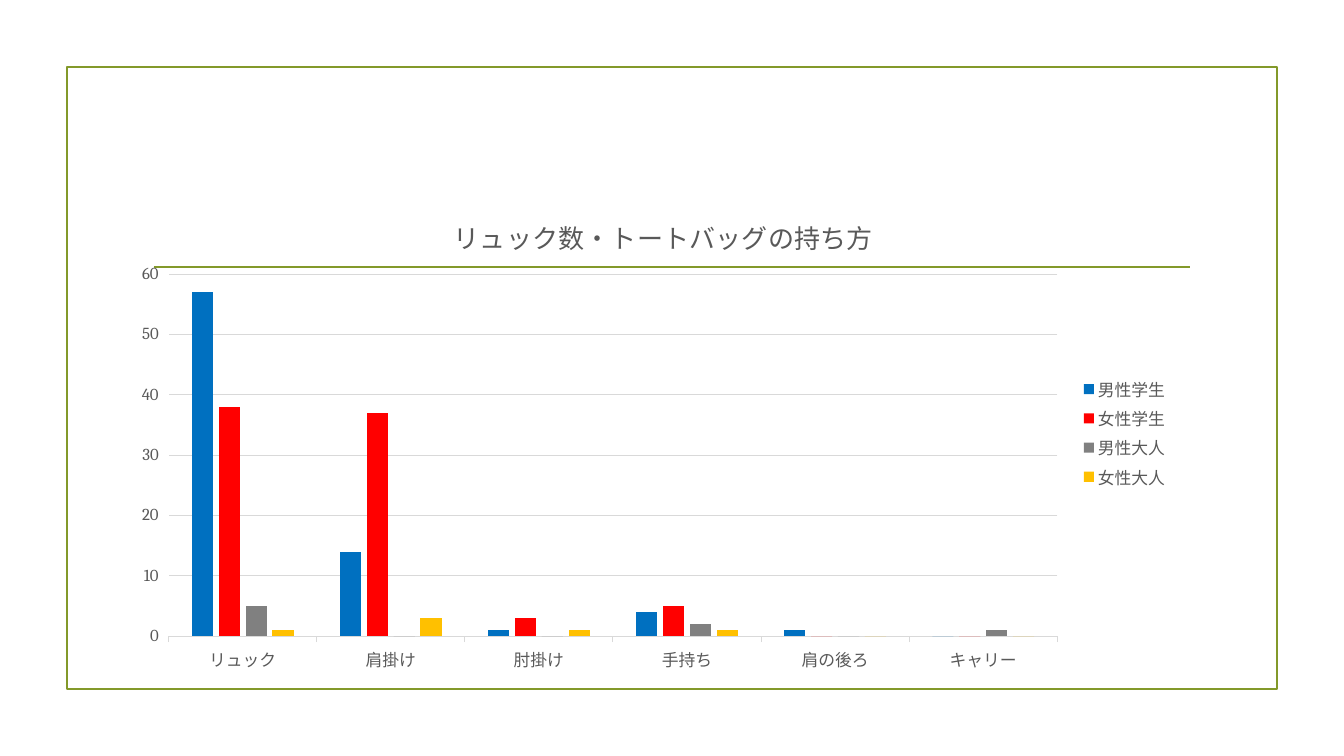
import pptx
import pptx.chart.data
import pptx.dml.color
import pptx.enum.chart
import pptx.enum.shapes
import pptx.oxml
import pptx.oxml.ns
import pptx.util

RGBColor = pptx.dml.color.RGBColor
OLIVE = RGBColor(0x83, 0x99, 0x2A)
TEXT_GREY = RGBColor(0x59, 0x59, 0x59)
GRID_GREY = RGBColor(0xD9, 0xD9, 0xD9)
BLUE = RGBColor(0x00, 0x70, 0xC0)
RED = RGBColor(0xFF, 0x00, 0x00)
GREY = RGBColor(0x80, 0x80, 0x80)
GOLD = RGBColor(0xFF, 0xC0, 0x00)

FONT = "Cambria"
TITLE = "リュック数・トートバッグの持ち方"
CARRYING_STYLES = ["リュック", "肩掛け", "肘掛け", "手持ち", "肩の後ろ", "キャリー"]
GROUPS = [
    ("男性学生", [57, 14, 1, 4, 1, 0], BLUE),
    ("女性学生", [38, 37, 3, 5, 0, 0], RED),
    ("男性大人", [5, 0, 0, 2, 0, 1], GREY),
    ("女性大人", [1, 3, 1, 1, 0, 0], GOLD),
]


def px(count):
    return pptx.util.Emu(round(count * 914400 / 100.8))


def style_line(line, color, points):
    line.color.rgb = color
    line.width = pptx.util.Pt(points)


def style_font(font, points):
    font.name = FONT
    font.size = pptx.util.Pt(points)
    font.bold = False
    font.color.rgb = TEXT_GREY


def add_frame(page, left, top, width, height):
    frame = page.shapes.add_shape(
        pptx.enum.shapes.MSO_SHAPE.RECTANGLE, px(left), px(top), px(width), px(height))
    frame.shadow.inherit = False
    frame.fill.background()
    style_line(frame.line, OLIVE, 1.25)


def add_rule(page, left, right, y):
    rule = page.shapes.add_connector(
        pptx.enum.shapes.MSO_CONNECTOR.STRAIGHT, px(left), px(y), px(right), px(y))
    style_line(rule.line, OLIVE, 1.25)
    effects = pptx.oxml.parse_xml(
        "<a:effectLst %s/>" % pptx.oxml.ns.nsdecls("a"))
    rule._element.spPr.append(effects)


def manual_layout(target, **sizes):
    """Layout of a chart part, in fractions of the chart area."""
    modes = "".join(f'<c:{axis}Mode val="edge"/>' for axis in "xy")
    values = "".join(f'<c:{key} val="{value}"/>' for key, value in sizes.items())
    inner = '<c:layoutTarget val="inner"/>' if target == "inner" else ""
    return pptx.oxml.parse_xml(
        f"<c:layout {pptx.oxml.ns.nsdecls('c')}><c:manualLayout>"
        f"{inner}{modes}{values}</c:manualLayout></c:layout>")


def drop_layout(element):
    for old in element.findall(pptx.oxml.ns.qn("c:layout")):
        element.remove(old)


def add_title(chart):
    para = chart.chart_title.text_frame.paragraphs[0]
    span = para.add_run()
    span.text = TITLE
    style_font(span.font, 18.6)
    title = chart.chart_title._element
    drop_layout(title)
    title.find(pptx.oxml.ns.qn("c:tx")).addnext(manual_layout("outer", x=0.31, y=0.05))


def style_axes(chart):
    ticks = pptx.enum.chart.XL_TICK_MARK
    for axis in (chart.category_axis, chart.value_axis):
        style_font(axis.tick_labels.font, 12)
        axis.minor_tick_mark = ticks.NONE
    chart.category_axis.major_tick_mark = ticks.OUTSIDE
    style_line(chart.category_axis.format.line, GRID_GREY, 0.75)
    values = chart.value_axis
    values.major_tick_mark = ticks.OUTSIDE
    values.minimum_scale, values.maximum_scale, values.major_unit = 0, 60, 10
    values.format.line.fill.background()
    values.has_major_gridlines = True
    style_line(values.major_gridlines.format.line, GRID_GREY, 0.75)


def add_column_chart(page, left, top, width, height):
    data = pptx.chart.data.CategoryChartData()
    data.categories = CARRYING_STYLES
    for name, counts, _ in GROUPS:
        data.add_series(name, counts)
    chart = page.shapes.add_chart(
        pptx.enum.chart.XL_CHART_TYPE.COLUMN_CLUSTERED,
        px(left), px(top), px(width), px(height), data).chart
    style_font(chart.font, 10)

    # Columns
    plot = chart.plots[0]
    plot.gap_width, plot.overlap, plot.vary_by_categories = 219, -27, False
    for series, (_, _, color) in zip(plot.series, GROUPS):
        series.format.fill.solid()
        series.format.fill.fore_color.rgb = color

    # Title, axes and legend
    add_title(chart)
    style_axes(chart)
    chart.has_legend = True
    chart.legend.position = pptx.enum.chart.XL_LEGEND_POSITION.RIGHT
    chart.legend.include_in_layout = False
    style_font(chart.legend.font, 12)

    # Plot position and transparent background
    body = chart._chartSpace.chart
    drop_layout(body.plotArea)
    body.plotArea.insert(0, manual_layout("inner", x=0.045, y=0.18, w=0.84, h=0.73))
    body.addnext(pptx.oxml.parse_xml(
        "<c:spPr %s><a:noFill/><a:ln><a:noFill/></a:ln></c:spPr>"
        % pptx.oxml.ns.nsdecls("c", "a")))


def main():
    deck = pptx.Presentation()
    deck.slide_width, deck.slide_height = px(1344), px(756)
    page = deck.slides.add_slide(deck.slide_layouts[6])
    add_frame(page, 67, 67, 1210, 622)
    add_rule(page, 154, 1190, 267)
    add_column_chart(page, 121, 185, 1058, 496)
    deck.save("out.pptx")


if __name__ == "__main__":
    main()
